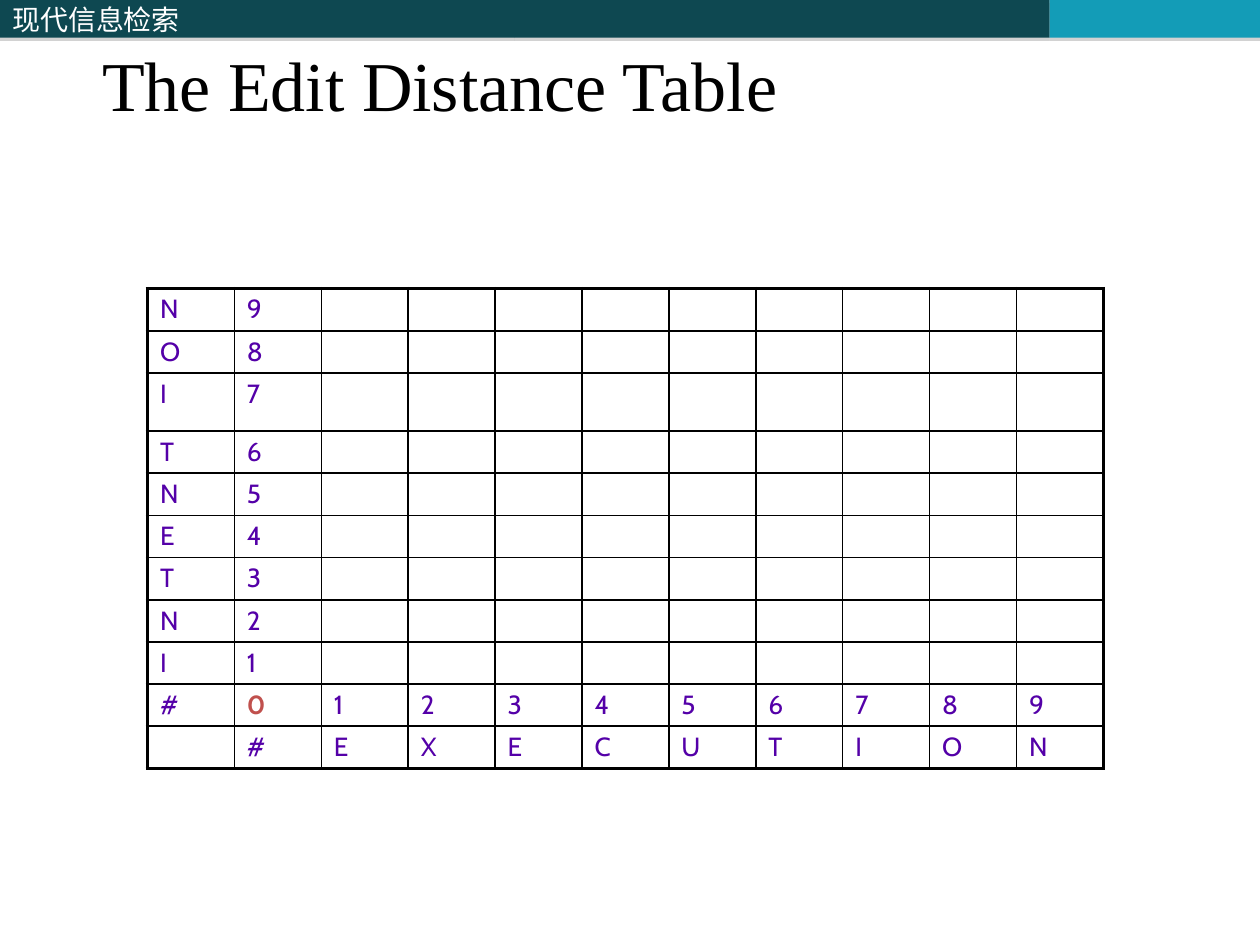
import lxml.etree
import pptx
import pptx.dml.color
import pptx.enum.shapes
import pptx.enum.text
import pptx.oxml
import pptx.oxml.ns
import pptx.util

Inches, Pt = pptx.util.Inches, pptx.util.Pt
RGB = pptx.dml.color.RGBColor.from_string
qn = pptx.oxml.ns.qn
NS = 'xmlns:a="http://schemas.openxmlformats.org/drawingml/2006/main"'
COLORS = {
    "header": "0E4851", "accent": "139CB7", "header_text": "FFFFFF",
    "shadow": "808080", "title": "000000", "border": "000000",
    "entry": "5400A8", "origin": "C0504D",
}


def format_run(run, color, **font_values):
    for attribute, value in font_values.items():
        setattr(run.font, attribute, value)
    run.font.color.rgb = RGB(COLORS[color])


def set_borders(cell, widths):
    """Draw the cell's sides; widths holds points for L, R, T and B."""
    properties = cell._tc.get_or_add_tcPr()
    for index, (side, width) in enumerate(widths.items()):
        properties.insert(index, pptx.oxml.parse_xml(
            f'<a:ln{side} {NS} w="{Pt(width)}"><a:solidFill>'
            f'<a:srgbClr val="{COLORS["border"]}"/></a:solidFill></a:ln{side}>'))


prs = pptx.Presentation()
prs.slide_width, prs.slide_height = Inches(10), Inches(7.5)
slide = prs.slides.add_slide(prs.slide_layouts[5])

# Header band
header_parts = [(0, 4.08, "header", "现代信息检索"),
                (4.08, 4.25, "header", ""),
                (8.33, 1.67, "accent", "")]
for left, width, color, label in header_parts:
    band = slide.shapes.add_shape(
        pptx.enum.shapes.MSO_SHAPE.RECTANGLE,
        Inches(left), 0, Inches(width), Inches(0.3))
    band.fill.solid()
    band.fill.fore_color.rgb = RGB(COLORS[color])
    band.line.fill.background()
    band.shadow.inherit = False
    band._element.spPr.find(qn("a:effectLst")).append(pptx.oxml.parse_xml(
        f'<a:outerShdw {NS} blurRad="0" dist="{Pt(1.8)}" dir="5400000">'
        f'<a:srgbClr val="{COLORS["shadow"]}"><a:alpha val="35000"/></a:srgbClr>'
        '</a:outerShdw>'))
    if label:
        band.text_frame.vertical_anchor = pptx.enum.text.MSO_ANCHOR.MIDDLE
        paragraph = band.text_frame.paragraphs[0]
        paragraph.alignment = pptx.enum.text.PP_ALIGN.LEFT
        course = paragraph.add_run()
        course.text = label
        format_run(course, "header_text", name="Noto Sans CJK SC", size=Pt(16))
        lxml.etree.SubElement(course.font._element, qn("a:ea"),
                              typeface="Noto Sans CJK SC")

# Edit distance grid: source word upwards, target word along the bottom
source, target = "#INTENTION", "#EXECUTION"
rows = [[letter, str(cost)] + [""] * (len(target) - 1)
        for cost, letter in reversed(list(enumerate(source)))]
rows[-1] = ["#"] + [str(cost) for cost in range(len(target))]
rows.append([""] + list(target))
last_row, last_column = len(rows) - 1, len(target)

grid = slide.shapes.add_table(
    len(rows), len(target) + 1,
    Inches(1.17), Inches(2.29), Inches(7.58), Inches(3.76)).table
grid.first_row = grid.horz_banding = False
for column in grid.columns:
    column.width = Inches(0.69)
for r, entries in enumerate(rows):
    grid.rows[r].height = Inches(0.46 if r == 2 else 0.33)
    for c, entry in enumerate(entries):
        cell = grid.cell(r, c)
        cell.fill.background()
        cell.margin_top = cell.margin_bottom = Inches(0.04)
        set_borders(cell, {"L": 2.25 if c == 0 else 1,
                           "R": 2.25 if c == last_column else 1,
                           "T": 2.25 if r == 0 else 1,
                           "B": 2.25 if r == last_row else 1})
        paragraph = cell.text_frame.paragraphs[0]
        if entry:
            value = paragraph.add_run()
            value.text = entry
            is_origin = entry == "0"
            format_run(value, "origin" if is_origin else "entry",
                       name="Cabin", size=Pt(15), bold=is_origin)
        else:
            # Keeps an empty cell from growing its row
            lxml.etree.SubElement(paragraph._p, qn("a:endParaRPr"), sz="1500")

# Title, in front of the header band
title = slide.shapes.title
placement = {"left": 0.71, "top": 0.13, "width": 8.5, "height": 0.92}
for attribute, value in placement.items():
    setattr(title, attribute, Inches(value))
title.text_frame.text = "The Edit Distance Table"
title.text_frame.vertical_anchor = pptx.enum.text.MSO_ANCHOR.BOTTOM
heading = title.text_frame.paragraphs[0]
heading.alignment = pptx.enum.text.PP_ALIGN.LEFT
format_run(heading.runs[0], "title", name="Times New Roman", size=Pt(40))
slide.shapes._spTree.append(title._element)

prs.save("out.pptx")
